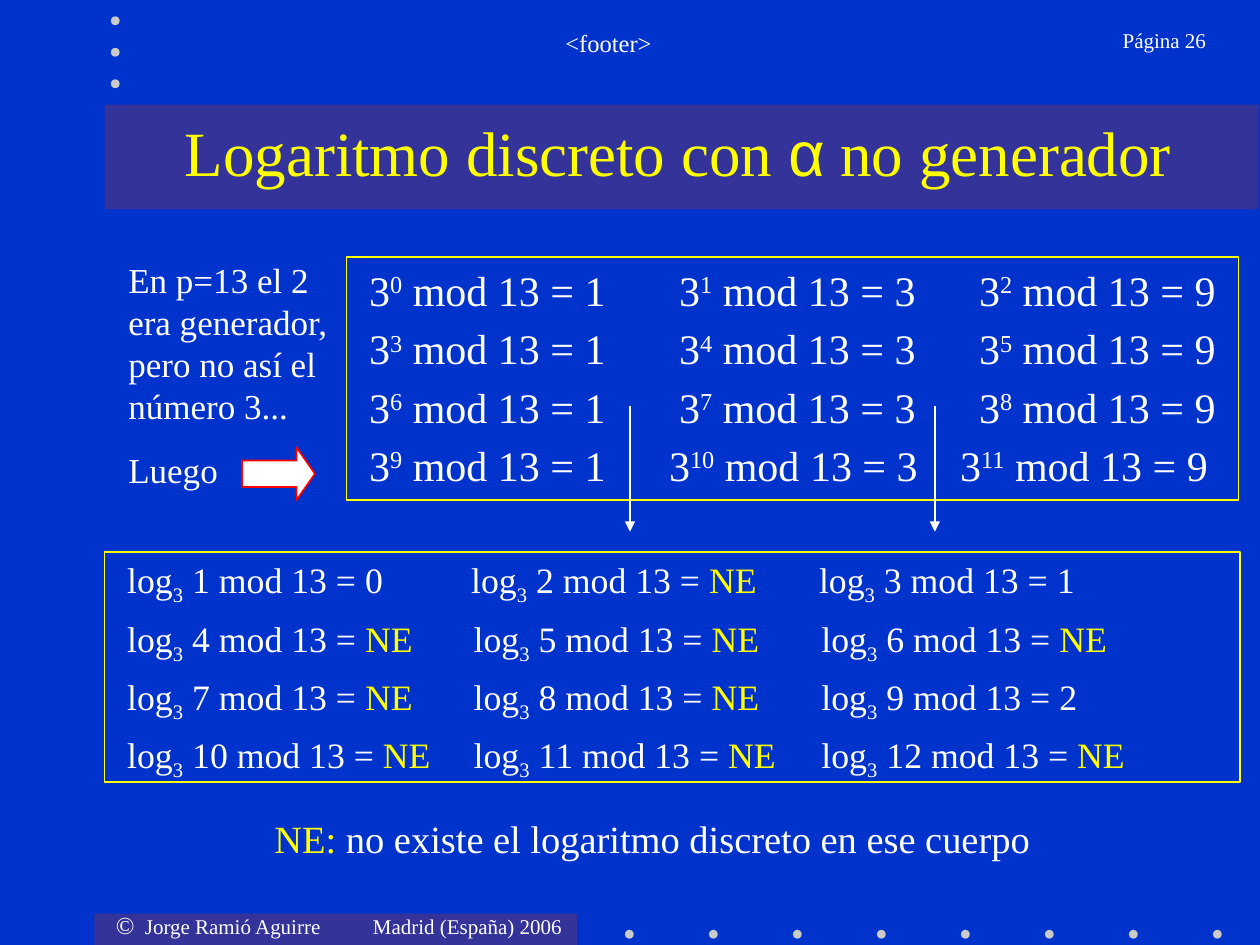
import pptx
import pptx.util
import pptx.dml.color
import pptx.enum.shapes
import pptx.enum.text
import pptx.oxml
import pptx.oxml.ns
from lxml import etree

Inches, Pt = pptx.util.Inches, pptx.util.Pt
SHAPES = pptx.enum.shapes.MSO_SHAPE
ALIGN = pptx.enum.text.PP_ALIGN
WHITE, YELLOW, PANEL, DOT = "FFFFFF", "FFFF00", "333399", "CBCBCB"
qn = pptx.oxml.ns.qn
color = pptx.dml.color.RGBColor.from_string


def add_block(kind, box, fill=None, line=None):
    block = slide.shapes.add_shape(kind, *map(Inches, box))
    block.shadow.inherit = False
    if fill:
        block.fill.solid()
        block.fill.fore_color.rgb = color(fill)
    else:
        block.fill.background()
    if line:
        block.line.color.rgb = color(line)
        block.line.width = Pt(1)
    else:
        block.line.fill.background()
    return block


def add_text(box, paragraphs, size, before, left=0.1, right=0.1, bottom=0.05,
             tabs=(), align=ALIGN.LEFT):
    """Each paragraph is a list of (text, colour, baseline percent) runs;
    tabs holds the stops of each paragraph."""
    frame = slide.shapes.add_textbox(*map(Inches, box)).text_frame
    frame.word_wrap = True
    frame.margin_left, frame.margin_right = Inches(left), Inches(right)
    frame.margin_top, frame.margin_bottom = Inches(0.05), Inches(bottom)
    for i, pieces in enumerate(paragraphs):
        paragraph = frame.paragraphs[0] if i == 0 else frame.add_paragraph()
        paragraph.alignment = align
        paragraph.space_before = Pt(before)
        if tabs:
            stops = etree.SubElement(paragraph._p.get_or_add_pPr(), qn("a:tabLst"))
            for stop in tabs[i]:
                etree.SubElement(stops, qn("a:tab"), pos=str(Inches(stop)), algn="l")
        for text, tint, baseline in pieces:
            run = paragraph.add_run()
            run.text = text
            run.font.name = "Times New Roman"
            run.font.size = Pt(size)
            run.font.color.rgb = color(tint)
            if baseline:
                run.font._element.set("baseline", str(baseline * 1000))
    return frame


prs = pptx.Presentation()
prs.slide_width, prs.slide_height = Inches(10), Inches(7.5)
slide = prs.slides.add_slide(prs.slide_layouts[5])
slide.background.fill.solid()
slide.background.fill.fore_color.rgb = color("0033CC")

# Bands and dots
add_block(SHAPES.RECTANGLE, (0.75, 7.25, 3.83, 0.25), PANEL)
add_block(SHAPES.RECTANGLE, (0.83, 0.83, 9.16, 0.83), PANEL)
bottom_dots = [(4.96 + i * 2 / 3, 7.38) for i in range(8)]
top_dots = [(0.88, 0.13 + i * 0.25) for i in range(3)]
for x, y in bottom_dots + top_dots:
    add_block(SHAPES.OVAL, (x, y, 0.07, 0.07), DOT)

# Header and footer
credit = add_text((0.72, 7.17, 3.85, 0.34),
                  [[("©", WHITE, 0), ("\tJorge Ramió Aguirre\tMadrid (España) 2006", WHITE, 0)]],
                  12, 7.5, left=0.2, right=0, tabs=[(0.23, 2.04)])
credit.paragraphs[0].runs[0].font.size = Pt(14)
add_text((1.58, 0.17, 6.5, 0.5), [[("<footer>", WHITE, 0)]], 14, 8.8, align=ALIGN.CENTER)
add_text((8.3, 0.17, 1.37, 0.5), [[("Página 26", WHITE, 0)]], 12, 7.5, align=ALIGN.RIGHT)

# Title, raised above its band
title = slide.shapes.title
title._element.getparent().append(title._element)
title.left, title.top, title.width, title.height = map(Inches, (0.92, 0.83, 8.92, 0.75))
heading = title.text_frame
heading.auto_size = pptx.enum.text.MSO_AUTO_SIZE.NONE
heading.vertical_anchor = pptx.enum.text.MSO_ANCHOR.MIDDLE
heading.paragraphs[0].alignment = ALIGN.CENTER
for text, font in (("Logaritmo discreto con ", "Times New Roman"), ("α", "Arial"),
                   (" no generador", "Times New Roman")):
    run = heading.paragraphs[0].add_run()
    run.text = text
    run.font.name = font
    run.font.size = Pt(36)
    run.font.color.rgb = color(YELLOW)

# Discrete logarithms base 3
logs = {1: "0", 3: "1", 9: "2"}
log_rows = []
for first in range(1, 13, 3):
    row = []
    for n in range(first, first + 3):
        result = logs.get(n, "NE")
        row += [("log" if n == first else "\tlog", WHITE, 0), ("3", WHITE, -25),
                (f" {n} mod 13 = ", WHITE, 0),
                (result, YELLOW if result == "NE" else WHITE, 0)]
    log_rows.append(row)
add_text((0.83, 4.38, 8.92, 1.83), log_rows, 20.4, 5.5, left=0.18,
         tabs=[(2.73, 5.49)] + [(2.75, 5.51)] * 3)
add_block(SHAPES.RECTANGLE, (0.83, 4.38, 9.01, 1.83), line=YELLOW)

# Powers of 3
power_rows = []
for first in range(0, 12, 3):
    row = []
    for n in range(first, first + 3):
        row += [("3" if n == first else "\t3", WHITE, 0), (str(n), WHITE, 30),
                (f" mod 13 = {3 ** n % 13}", WHITE, 0)]
    power_rows.append(row)
add_text((2.75, 2.05, 7.08, 1.84), power_rows, 24, 4.5, left=0.18, bottom=0,
         tabs=[(2.46, 4.84)] * 3 + [(2.38, 4.69)])
add_block(SHAPES.RECTANGLE, (2.75, 2.04, 7.08, 1.93), line=YELLOW)

# Remark and arrows
add_text((0.92, 2, 1.83, 1.89),
         [[("En p=13 el 2 era generador, pero no así el número 3...", WHITE, 0)],
          [("Luego", WHITE, 0)]], 20, 12.5, bottom=0)
therefore = add_block(SHAPES.RIGHT_ARROW, (1.92, 3.55, 0.58, 0.42), WHITE, "FF0000")
therefore.adjustments[1] = 0.35
for x in (5, 7.42):
    arrow = slide.shapes.add_connector(pptx.enum.shapes.MSO_CONNECTOR.STRAIGHT,
                                       Inches(x), Inches(3.22), Inches(x), Inches(4.22))
    arrow.line.color.rgb = color(WHITE)
    arrow.line.width = Pt(1.5)
    etree.SubElement(arrow.line._get_or_add_ln(), qn("a:tailEnd"), type="triangle")
    etree.SubElement(arrow._element.spPr, qn("a:effectLst"))

# Legend
add_text((2.08, 6.42, 6.5, 0.42),
         [[("NE: ", YELLOW, 0), ("no existe el logaritmo discreto en ese cuerpo", WHITE, 0)]],
         22, 13.8, bottom=0)

prs.save("out.pptx")
